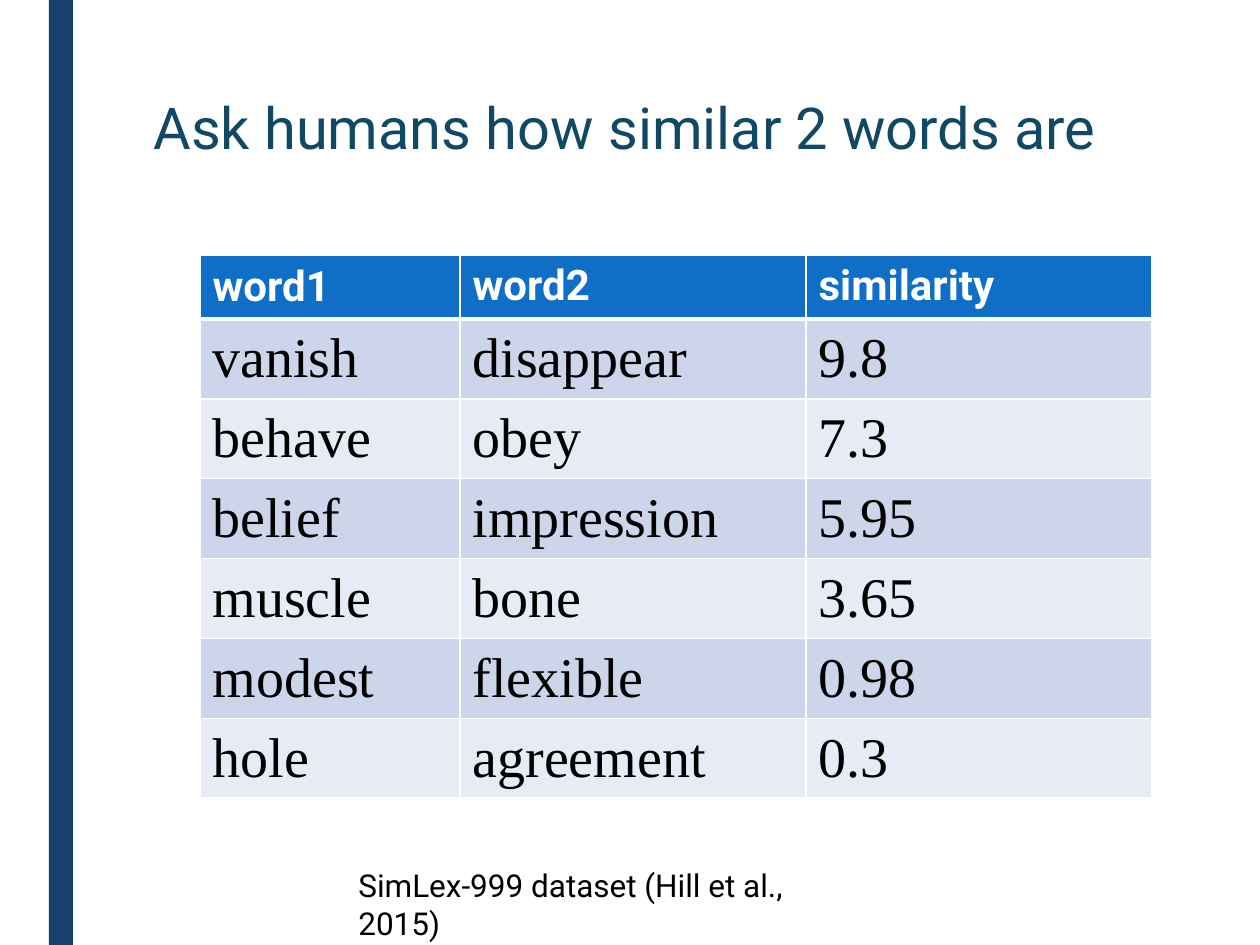
import pptx
import pptx.dml.color
import pptx.enum.shapes
import pptx.enum.text
import pptx.oxml
import pptx.oxml.ns
import pptx.util

# Content
TITLE = "Ask humans how similar 2 words are"
SOURCE = "SimLex-999 dataset (Hill et al., 2015)"
ROWS = [
    ("word1", "word2", "similarity"),
    ("vanish", "disappear", "9.8"),
    ("behave", "obey", "7.3"),
    ("belief", "impression", "5.95"),
    ("muscle", "bone", "3.65"),
    ("modest", "flexible", "0.98"),
    ("hole", "agreement", "0.3"),
]

# Look
THEME = {
    "bar": "17406D",
    "head": "0F6FC6",
    "bands": ("CCD5EA", "E7EBF5"),
    "rule": "FFFFFF",
    "title": dict(name="Roboto", size=33, color="114864", bold=False),
    "label": dict(name="Roboto", size=24, color="FFFFFF", bold=True),
    "body": dict(name="Times New Roman", size=32, color="000000", bold=False),
    "note": dict(name="Roboto", size=18, color="000000", bold=False),
}

# Layout in px, 126 to the inch
SCALE = 914400 // 126
SIZE = (1260, 945)
BAR = (49, 0, 24, 945)
HEAD_BOX = (141, 94, 993, 204)
NOTE_BOX = (346, 860, 503, 50)
GRID = (200, 255)
COLS = (260, 346, 346)
HEAD_ROW, BODY_ROW = 64, 74


def emu(*lengths):
    return [pptx.util.Emu(n * SCALE) for n in lengths]


def rgb(code):
    return pptx.dml.color.RGBColor.from_string(code)


def write(frame, text, style):
    para = frame.paragraphs[0]
    run = para.add_run()
    run.text = text
    for key, value in style.items():
        if key == "color":
            run.font.color.rgb = rgb(value)
        else:
            setattr(run.font, key, pptx.util.Pt(value) if key == "size" else value)
    return para


def add_text(slide, box, text, style):
    frame = slide.shapes.add_textbox(*emu(*box)).text_frame
    frame.word_wrap = True
    return write(frame, text, style)


def rule(cell, side, points):
    cell._tc.get_or_add_tcPr().append(pptx.oxml.parse_xml(
        f'<a:ln{side} {pptx.oxml.ns.nsdecls("a")} w="{pptx.util.Pt(points)}">'
        f'<a:solidFill><a:srgbClr val="{THEME["rule"]}"/></a:solidFill>'
        f'</a:ln{side}>'))


def add_grid(slide):
    high = [HEAD_ROW] + [BODY_ROW] * (len(ROWS) - 1)
    box = emu(*GRID, sum(COLS), sum(high))
    table = slide.shapes.add_table(len(ROWS), len(COLS), *box).table
    for col, width in zip(table.columns, emu(*COLS)):
        col.width = width
    for row, height in zip(table.rows, emu(*high)):
        row.height = height
    for r, words in enumerate(ROWS):
        fill = THEME["bands"][(r - 1) % 2] if r else THEME["head"]
        style = THEME["body" if r else "label"]
        for c, word in enumerate(words):
            cell = table.cell(r, c)
            # The rule under the header row is thicker
            for side in "LRTB":
                thick = (r, side) in ((0, "B"), (1, "T"))
                rule(cell, side, 3 if thick else 1)
            cell.fill.solid()
            cell.fill.fore_color.rgb = rgb(fill)
            if r or not c:
                cell.vertical_anchor = pptx.enum.text.MSO_ANCHOR.MIDDLE
            write(cell.text_frame, word, style)


def main():
    deck = pptx.Presentation()
    deck.slide_width, deck.slide_height = emu(*SIZE)
    slide = deck.slides.add_slide(deck.slide_layouts[6])

    # Side bar
    bar = slide.shapes.add_shape(
        pptx.enum.shapes.MSO_SHAPE.RECTANGLE, *emu(*BAR))
    bar.shadow.inherit = False
    bar.fill.solid()
    bar.fill.fore_color.rgb = rgb(THEME["bar"])
    bar.line.fill.background()

    # Title, table and source
    add_text(slide, HEAD_BOX, TITLE, THEME["title"]).line_spacing = 0.89
    add_grid(slide)
    add_text(slide, NOTE_BOX, SOURCE, THEME["note"])

    deck.save("out.pptx")


if __name__ == "__main__":
    main()
